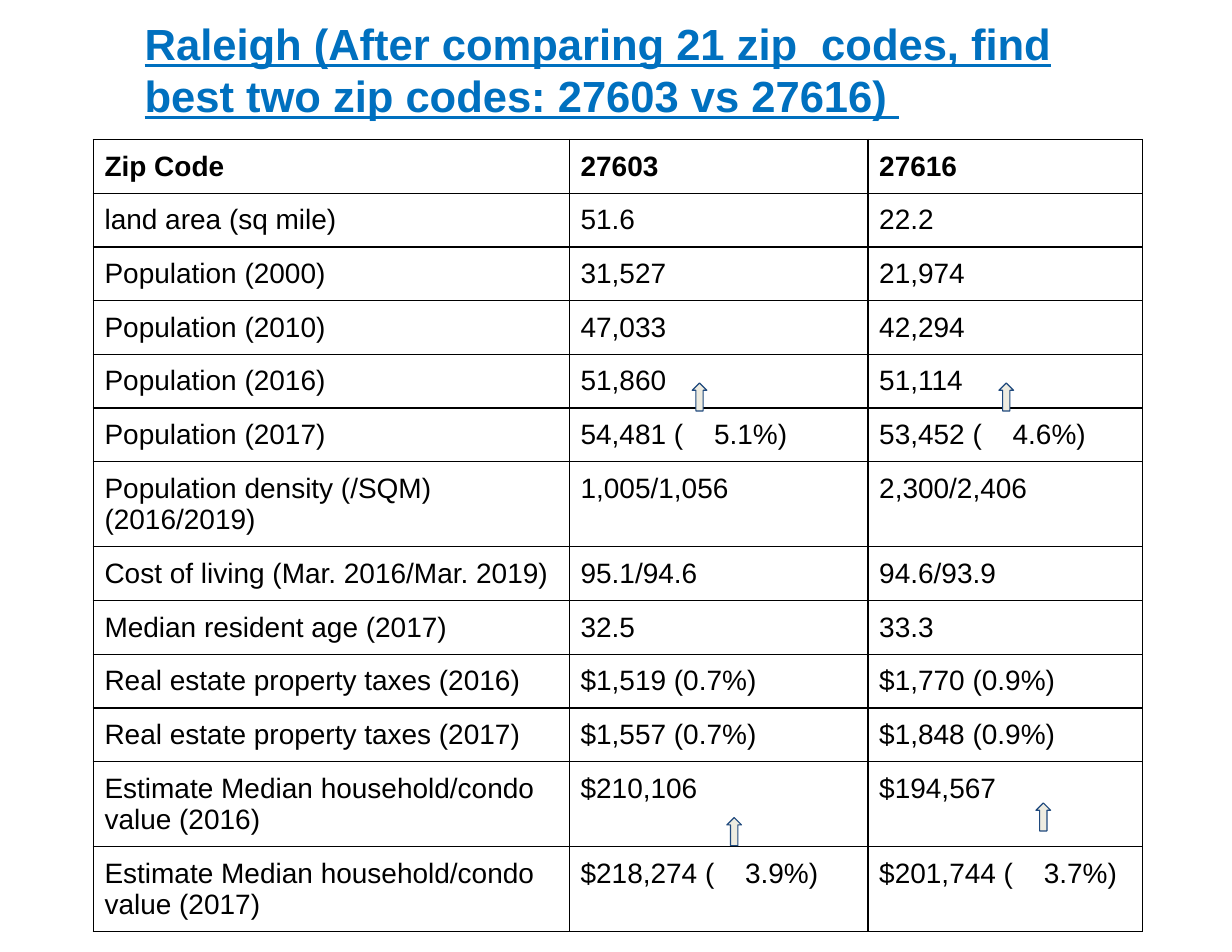
from lxml import etree
from pptx import Presentation
from pptx.dml.color import RGBColor
from pptx.enum.shapes import MSO_SHAPE
from pptx.oxml.ns import qn
from pptx.util import Pt

UP_ARROW = MSO_SHAPE.UP_ARROW
FONT = "Arial"
COLORS = {"title": "0070BF", "text": "000000", "border": "000000",
          "arrow": "EEECE1", "arrow_line": "1F497D"}

TITLE = "Raleigh (After comparing 21 zip  codes, find best two zip codes: 27603 vs 27616) "
ROWS = [
    ("Zip Code", "27603", "27616"),
    ("land area (sq mile)", "51.6", "22.2"),
    ("Population (2000)", "31,527", "21,974"),
    ("Population (2010)", "47,033", "42,294"),
    ("Population (2016)", "51,860", "51,114"),
    ("Population (2017)", "54,481 (\t5.1%)", "53,452 (\t4.6%)"),
    ("Population density (/SQM) (2016/2019)", "1,005/1,056", "2,300/2,406"),
    ("Cost of living (Mar. 2016/Mar. 2019)", "95.1/94.6", "94.6/93.9"),
    ("Median resident age (2017)", "32.5", "33.3"),
    ("Real estate property taxes (2016)", "$1,519 (0.7%)", "$1,770 (0.9%)"),
    ("Real estate property taxes (2017)", "$1,557 (0.7%)", "$1,848 (0.9%)"),
    ("Estimate Median household/condo value (2016)", "$210,106", "$194,567"),
    ("Estimate Median household/condo value (2017)",
     "$218,274 (\t3.9%)", "$201,744 (\t3.7%)"),
]
COL_WIDTHS = (306, 192, 176.4)
ROW_HEIGHT, TALL_ROW_HEIGHT = 34.53, 54.7
TALL_ROWS = (6, 11, 12)
INSET, BOTTOM_INSET = 7.2, 2
POPULATION_TAB, VALUE_TAB = 85.8, 105.8
ARROWS = [(445, 246.2), (642.2, 246.2), (467.3, 525.6), (666, 516.2)]
ARROW_SIZE = (9.4, 18)


def rgb(name):
    return RGBColor.from_string(COLORS[name])


def style_font(font, size, color, bold):
    font.name, font.size, font.bold = FONT, Pt(size), bold
    font.color.rgb = rgb(color)


def add_title(slide, x, y, w, h):
    tf = slide.shapes.add_textbox(Pt(x), Pt(y), Pt(w), Pt(h)).text_frame
    tf.word_wrap = True
    tf.margin_left = tf.margin_right = tf.margin_top = tf.margin_bottom = 0
    p = tf.paragraphs[0]
    p.text = TITLE
    style_font(p.font, 28, "title", True)
    p.font.underline = True


def add_borders(cell):
    tc_pr = cell._tc.get_or_add_tcPr()
    for side in ("a:lnL", "a:lnR", "a:lnT", "a:lnB"):
        ln = etree.SubElement(tc_pr, qn(side), w=str(Pt(1)))
        fill = etree.SubElement(ln, qn("a:solidFill"))
        etree.SubElement(fill, qn("a:srgbClr"), val=COLORS["border"])


def add_tab_stop(p, pos):
    tabs = etree.Element(qn("a:tabLst"))
    etree.SubElement(tabs, qn("a:tab"), pos=str(Pt(pos)), algn="l")
    p._p.get_or_add_pPr().insert(0, tabs)


def fill_cell(cell, text, bold):
    cell.margin_left = cell.margin_right = cell.margin_top = Pt(INSET)
    cell.margin_bottom = Pt(BOTTOM_INSET)
    add_borders(cell)
    cell.fill.background()
    p = cell.text_frame.paragraphs[0]
    p.text = text
    style_font(p.font, 18, "text", bold)
    if "\t" in text:
        add_tab_stop(p, VALUE_TAB if text.startswith("$") else POPULATION_TAB)


def add_comparison_table(slide, x, y):
    heights = [TALL_ROW_HEIGHT if i in TALL_ROWS else ROW_HEIGHT
               for i in range(len(ROWS))]
    table = slide.shapes.add_table(len(ROWS), len(COL_WIDTHS), Pt(x), Pt(y),
                                   Pt(sum(COL_WIDTHS)), Pt(sum(heights))).table
    table.first_row = table.horz_banding = False
    for column, width in zip(table.columns, COL_WIDTHS):
        column.width = Pt(width)
    for i, (row, height) in enumerate(zip(table.rows, heights)):
        row.height = Pt(height)
        for cell, text in zip(row.cells, ROWS[i]):
            fill_cell(cell, text, i == 0)


def add_up_arrow(slide, x, y, w, h):
    sp = slide.shapes.add_shape(UP_ARROW, Pt(x), Pt(y), Pt(w), Pt(h))
    sp.shadow.inherit = False
    sp.fill.solid()
    sp.fill.fore_color.rgb = rgb("arrow")
    sp.line.color.rgb = rgb("arrow_line")
    sp.line.width = Pt(0.75)


def main():
    prs = Presentation()
    prs.slide_width, prs.slide_height = Pt(792), Pt(612)
    slide = prs.slides.add_slide(prs.slide_layouts[6])
    add_title(slide, 93, 11, 641.5, 68)
    add_comparison_table(slide, 60, 89.7)
    for x, y in ARROWS:
        add_up_arrow(slide, x, y, *ARROW_SIZE)
    prs.save("out.pptx")


if __name__ == "__main__":
    main()
